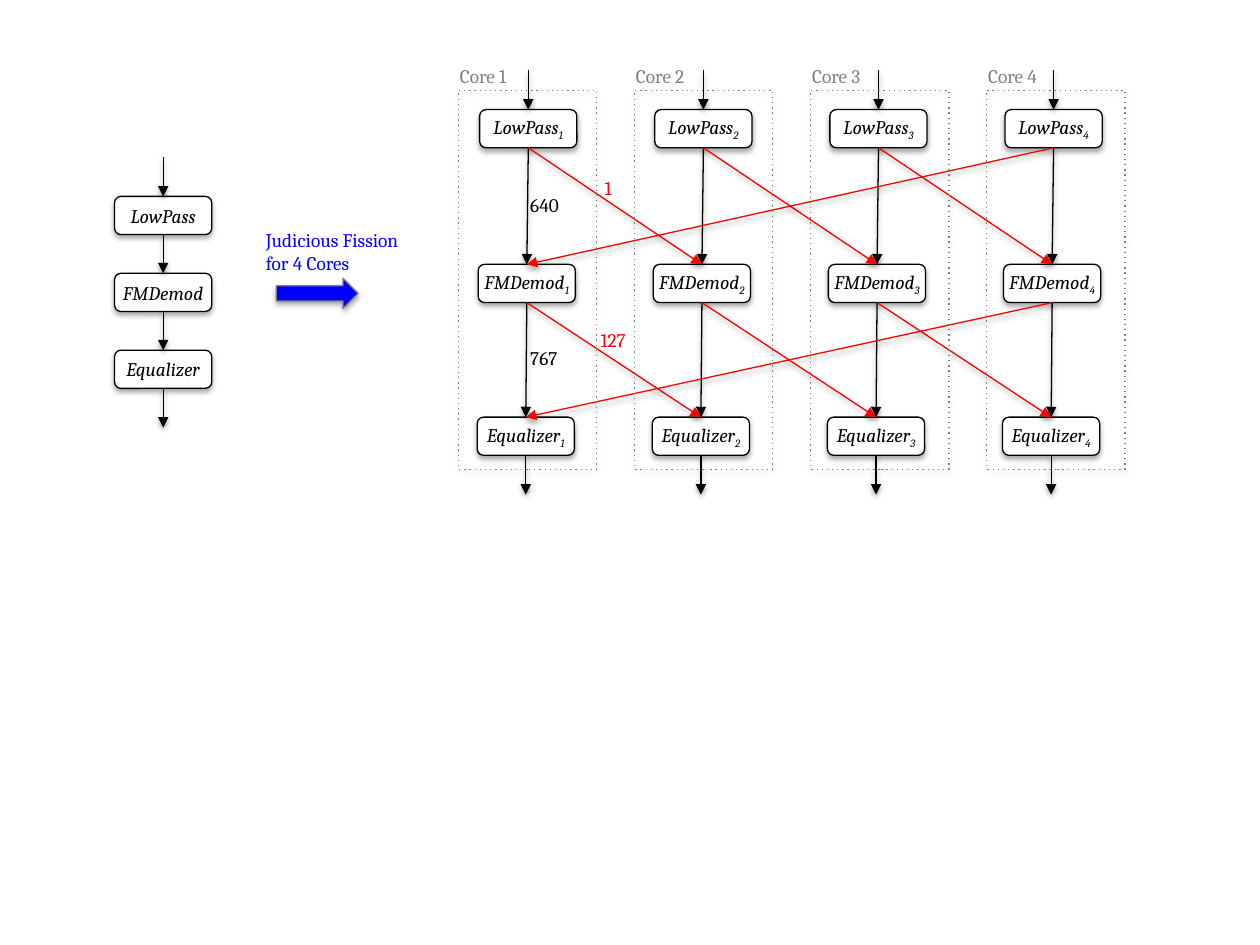
from lxml.etree import SubElement
from pptx import Presentation
from pptx.dml.color import RGBColor
from pptx.enum.shapes import MSO_CONNECTOR, MSO_SHAPE
from pptx.enum.text import MSO_ANCHOR, MSO_AUTO_SIZE, PP_ALIGN
from pptx.oxml.ns import qn
from pptx.util import Cm, Pt

COLORS = {"ink": "000000", "paper": "FFFFFF", "shifted": "FF0000",
          "core": "7F7F7F", "fission": "0000FF", "edge": "808080"}
LABEL_FONT = {"name": "Cambria", "size": Pt(11)}
STAGE_FONT = {**LABEL_FONT, "italic": True}
STAGE_FRAME = {"word_wrap": False, "vertical_anchor": MSO_ANCHOR.MIDDLE}
LABEL_FRAME = {"word_wrap": False, "auto_size": MSO_AUTO_SIZE.SHAPE_TO_FIT_TEXT}
SHAPE_SHADOW = {"blurRad": "40000", "dist": "23000", "alpha": "35000"}
ARROW_SHADOW = {"blurRad": "40000", "dist": "20000", "alpha": "38000"}

STAGES = ["LowPass", "FMDemod", "Equalizer"]
CORES = 4
BOX_WIDTH, BOX_HEIGHT = 1.96, 0.77
STUB = 0.79  # length of the arrows into and out of a pipeline
TOP, BOTTOM = 0, 2  # connection sites of a rounded rectangle


def rgb(color):
    """Return the named colour."""
    return RGBColor.from_string(COLORS[color])


def apply(target, values):
    """Set every format value on the target."""
    for attribute, value in values.items():
        setattr(target, attribute, value)


def cast_shadow(element, shadow):
    """Give a shape or connector a soft shadow straight below it."""
    effects = SubElement(element.spPr, qn("a:effectLst"))
    outer = SubElement(effects, qn("a:outerShdw"), blurRad=shadow["blurRad"],
                       dist=shadow["dist"], dir="5400000", rotWithShape="0")
    black = SubElement(outer, qn("a:srgbClr"), val=COLORS["ink"])
    SubElement(black, qn("a:alpha"), val=shadow["alpha"])


def add_run(paragraph, text, font, color):
    """Append formatted text to a paragraph."""
    run = paragraph.add_run()
    run.text = text
    apply(run.font, font)
    run.font.color.rgb = rgb(color)
    return run


def add_block(slide, preset, box, fill, edge):
    """Add an outlined preset shape; a fill of None leaves it open."""
    block = slide.shapes.add_shape(preset, *map(Cm, box))
    if fill:
        block.fill.solid()
        block.fill.fore_color.rgb = rgb(fill)
    else:
        block.fill.background()
    block.line.color.rgb = rgb(edge)
    block.line.width = Pt(0.75)
    cast_shadow(block._element, SHAPE_SHADOW)
    return block


def add_stage(slide, left, top, stage, core=""):
    """Add a filter box, with its core number as a subscript."""
    box = (left, top, BOX_WIDTH, BOX_HEIGHT)
    block = add_block(slide, MSO_SHAPE.ROUNDED_RECTANGLE, box, "paper", "ink")
    apply(block.text_frame, STAGE_FRAME)
    paragraph = block.text_frame.paragraphs[0]
    paragraph.alignment = PP_ALIGN.CENTER
    add_run(paragraph, stage, STAGE_FONT, "ink")
    if core:
        subscript = add_run(paragraph, str(core), STAGE_FONT, "ink")
        subscript.font._element.set("baseline", "-25000")
    return block


def add_core_frame(slide, left):
    """Add the dotted outline of one core."""
    frame = add_block(slide, MSO_SHAPE.RECTANGLE, (left, 1.82, 2.79, 7.64), None, "core")
    SubElement(frame.line._get_or_add_ln(), qn("a:prstDash"), val="dot")


def add_label(slide, box, lines, color):
    """Add free-standing text, one paragraph per line."""
    frame = slide.shapes.add_textbox(*map(Cm, box)).text_frame
    apply(frame, LABEL_FRAME)
    for index, text in enumerate(lines):
        paragraph = frame.add_paragraph() if index else frame.paragraphs[0]
        add_run(paragraph, text, LABEL_FONT, color)


def add_arrow(slide, start, end, color="ink"):
    """Add a straight arrow between two points given in EMU."""
    arrow = slide.shapes.add_connector(MSO_CONNECTOR.STRAIGHT, *start, *end)
    arrow.line.color.rgb = rgb(color)
    arrow.line.width = Pt(0.75)
    SubElement(arrow.line._get_or_add_ln(), qn("a:tailEnd"), type="triangle")
    cast_shadow(arrow._element, ARROW_SHADOW)
    return arrow


def link(slide, source, target, color="ink"):
    """Glue an arrow from the bottom of one stage to the top of another."""
    arrow = add_arrow(slide, (0, 0), (0, 0), color)
    arrow.begin_connect(source, BOTTOM)
    arrow.end_connect(target, TOP)


def add_ends(slide, first, last):
    """Add the arrows into the first stage and out of the last."""
    entry_x = first.left + first.width // 2
    exit_x = last.left + last.width // 2
    floor = last.top + last.height
    add_arrow(slide, (entry_x, first.top - Cm(STUB)), (entry_x, first.top))
    add_arrow(slide, (exit_x, floor), (exit_x, floor + Cm(STUB)))


def add_pipeline(slide):
    """Draw the original three-stage pipeline."""
    blocks = [add_stage(slide, 2.31, 3.96 + 1.55 * row, stage)
              for row, stage in enumerate(STAGES)]
    for source, target in zip(blocks, blocks[1:]):
        link(slide, source, target)
    add_ends(slide, blocks[0], blocks[-1])


def add_fission(slide):
    """Draw the pipeline spread over the cores."""
    origins = [(9.67, 2.21), (9.64, 5.33), (9.62, 8.41)]
    grid = [[add_stage(slide, left + 3.53 * core, top, stage, core + 1)
             for core in range(CORES)]
            for stage, (left, top) in zip(STAGES, origins)]
    for sources, targets in zip(grid, grid[1:]):
        for source, target in zip(sources, targets):
            link(slide, source, target)
        for core, source in enumerate(sources):
            link(slide, source, targets[(core + 1) % CORES], "shifted")
    for first, last in zip(grid[0], grid[-1]):
        add_ends(slide, first, last)
    for core in range(CORES):
        add_core_frame(slide, 9.24 + 3.55 * core)
        add_label(slide, (9.02 + 3.55 * core, 1.17, 1.6, 0.73), [f"Core {core + 1}"], "core")


def main():
    """Build the slide and save it."""
    deck = Presentation()
    apply(deck, {"slide_width": Cm(25.4), "slide_height": Cm(19.05)})
    slide = deck.slides.add_slide(deck.slide_layouts[6])
    add_pipeline(slide)
    add_fission(slide)
    for left, top, width, items, color in [
            (10.44, 6.86, 1.09, "767", "ink"), (11.86, 6.5, 1.09, "127", "shifted"),
            (10.44, 3.78, 1.09, "640", "ink"), (11.94, 3.43, 0.71, "1", "shifted")]:
        add_label(slide, (left, top, width, 0.73), [items], color)
    add_block(slide, MSO_SHAPE.RIGHT_ARROW, (5.57, 5.61, 1.65, 0.61), "fission", "edge")
    add_label(slide, (5.11, 4.47, 3.25, 1.19), ["Judicious Fission", "for 4 Cores"], "fission")
    deck.save("out.pptx")


main()
